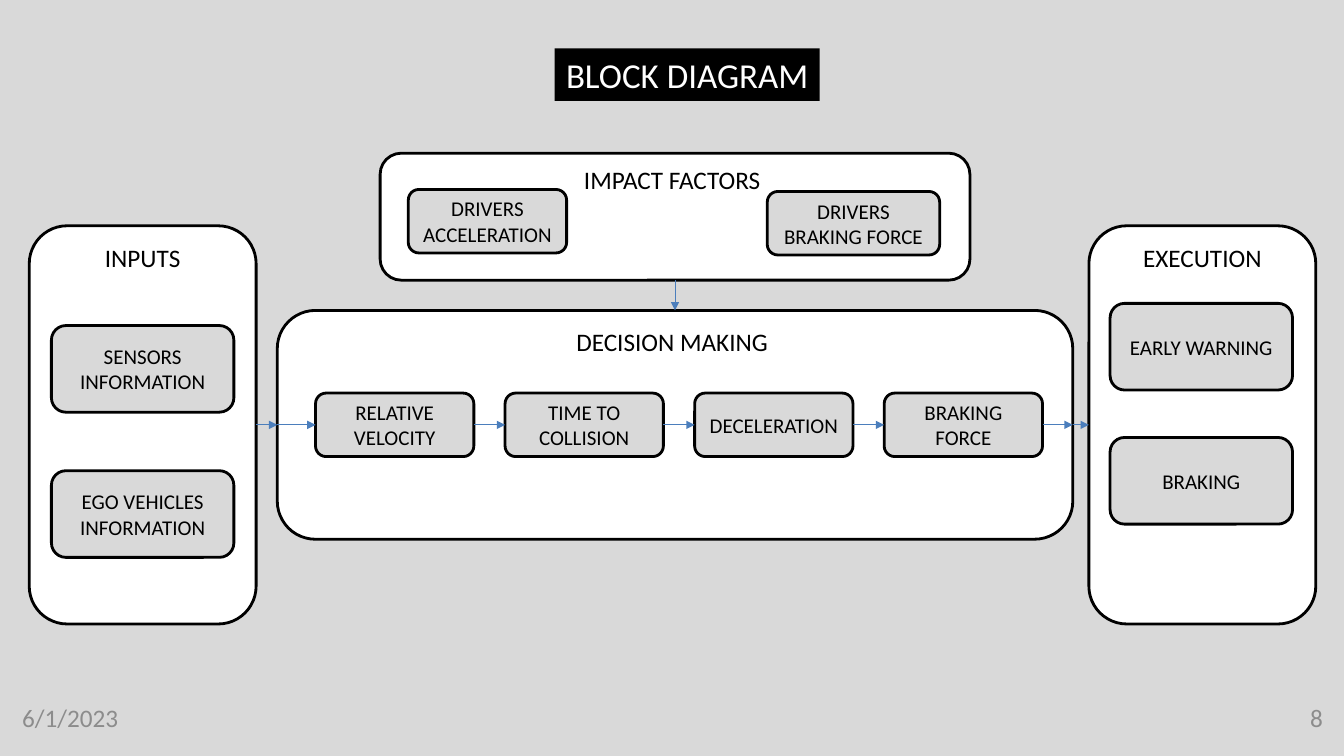
from lxml.etree import SubElement
from pptx import Presentation
from pptx.dml.color import RGBColor
from pptx.enum.shapes import MSO_CONNECTOR, MSO_SHAPE
from pptx.enum.text import MSO_ANCHOR, PP_ALIGN
from pptx.oxml.ns import qn
from pptx.util import Inches, Pt

BLACK = RGBColor(0x00, 0x00, 0x00)
WHITE = RGBColor(0xFF, 0xFF, 0xFF)
LIGHT_GREY = RGBColor(0xD9, 0xD9, 0xD9)
FOOTER_GREY = RGBColor(0x8C, 0x8C, 0x8C)
ARROW_BLUE = RGBColor(0x4B, 0x7E, 0xBC)

TOP, LEFT, BOTTOM, RIGHT = range(4)
SIDE_BLOCK = (1.81, 0.86)
STEP_WIDTH, STEP_HEIGHT, STEP_PITCH = 1.57, 0.63, 1.88


def write_text(shape, text, size, color=BLACK, align=PP_ALIGN.CENTER,
               anchor=MSO_ANCHOR.MIDDLE, font="Calibri"):
    frame = shape.text_frame
    frame.word_wrap = True
    frame.vertical_anchor = anchor
    paragraph = frame.paragraphs[0]
    paragraph.alignment = align
    run = paragraph.add_run()
    run.text = text
    run.font.name = font
    run.font.size = Pt(size)
    run.font.color.rgb = color


class BlockDiagram:
    """Holds the current slide and draws its elements in one style."""

    def __init__(self, slide):
        self.slide = slide
        slide.background.fill.solid()
        slide.background.fill.fore_color.rgb = LIGHT_GREY

    def box(self, preset, fill, left, top, width, height):
        shape = self.slide.shapes.add_shape(
            preset, Inches(left), Inches(top), Inches(width), Inches(height))
        shape.shadow.inherit = False
        shape.fill.solid()
        shape.fill.fore_color.rgb = fill
        return shape

    def rounded(self, fill, *bounds):
        shape = self.box(MSO_SHAPE.ROUNDED_RECTANGLE, fill, *bounds)
        shape.line.color.rgb = BLACK
        shape.line.width = Pt(2)
        return shape

    def title(self, text, *bounds):
        shape = self.box(MSO_SHAPE.RECTANGLE, BLACK, *bounds)
        shape.line.fill.background()
        write_text(shape, text, 25, color=WHITE)

    def panel(self, text, *bounds):
        shape = self.rounded(WHITE, *bounds)
        write_text(shape, text, 18, anchor=MSO_ANCHOR.TOP)
        return shape

    def block(self, text, *bounds):
        shape = self.rounded(LIGHT_GREY, *bounds)
        write_text(shape, text, 15)
        return shape

    def footer(self, text, left, align):
        shape = self.slide.shapes.add_textbox(
            Inches(left), Inches(6.97), Inches(3.01), Inches(0.3))
        frame = shape.text_frame
        frame.margin_left = frame.margin_right = 0
        frame.margin_top = frame.margin_bottom = 0
        write_text(shape, text, 18, color=FOOTER_GREY, align=align,
                   anchor=MSO_ANCHOR.TOP)

    def arrow(self, source, source_side, target, target_side):
        connector = self.slide.shapes.add_connector(
            MSO_CONNECTOR.STRAIGHT, 0, 0, 0, 0)
        connector.begin_connect(source, source_side)
        connector.end_connect(target, target_side)
        connector.line.color.rgb = ARROW_BLUE
        connector.line.width = Pt(0.75)
        SubElement(connector.line._get_or_add_ln(), qn("a:tailEnd"), type="triangle")
        SubElement(connector._element.spPr, qn("a:effectLst"))


def main():
    presentation = Presentation()
    presentation.slide_width = Inches(13.33)
    presentation.slide_height = Inches(7.5)
    diagram = BlockDiagram(
        presentation.slides.add_slide(presentation.slide_layouts[6]))

    diagram.footer("6/1/2023", 0.22, PP_ALIGN.LEFT)
    diagram.footer("8", 10.11, PP_ALIGN.RIGHT)
    diagram.title("BLOCK DIAGRAM", 5.5, 0.48, 2.63, 0.52)

    inputs = diagram.panel("INPUTS", 0.29, 2.24, 2.25, 3.95)
    decision = diagram.panel("DECISION MAKING ", 2.75, 3.08, 7.89, 2.27)
    impact = diagram.panel("IMPACT FACTORS ", 3.77, 1.52, 5.85, 1.26)
    execution = diagram.panel("EXECUTION", 10.8, 2.24, 2.25, 3.95)

    for text, left, top in (("SENSORS INFORMATION", 0.51, 3.23),
                            ("EGO VEHICLES INFORMATION", 0.51, 4.67),
                            ("EARLY WARNING", 11.01, 3.01),
                            ("BRAKING", 11.01, 4.34)):
        diagram.block(text, left, top, *SIDE_BLOCK)

    diagram.block("DRIVERS ACCELERATION", 4.05, 1.88, STEP_WIDTH, STEP_HEIGHT)
    diagram.block("DRIVERS BRAKING FORCE", 7.61, 1.9, 1.71, STEP_HEIGHT)

    step_names = ("RELATIVE VELOCITY", "TIME TO COLLISION",
                  "DECELERATION", "BRAKING FORCE")
    steps = [diagram.block(name, 3.13 + index * STEP_PITCH, 3.9,
                           STEP_WIDTH, STEP_HEIGHT)
             for index, name in enumerate(step_names)]

    diagram.arrow(inputs, RIGHT, decision, LEFT)
    diagram.arrow(decision, LEFT, steps[0], LEFT)
    for step, following in zip(steps, steps[1:]):
        diagram.arrow(step, RIGHT, following, LEFT)
    diagram.arrow(steps[-1], RIGHT, decision, RIGHT)
    diagram.arrow(decision, RIGHT, execution, LEFT)
    diagram.arrow(impact, BOTTOM, decision, TOP)

    presentation.save("out.pptx")


if __name__ == "__main__":
    main()
